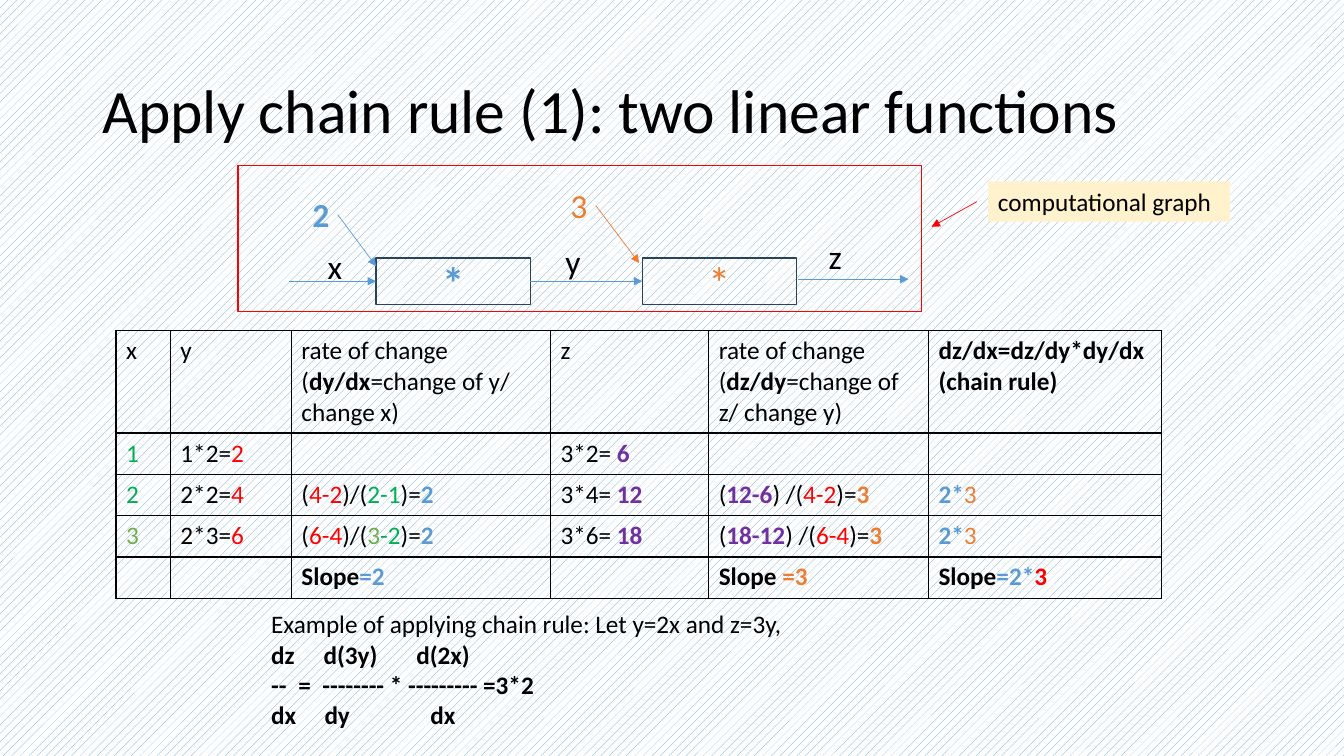
from lxml import etree
from pptx import Presentation
from pptx.dml.color import RGBColor
from pptx.enum.dml import MSO_PATTERN
from pptx.enum.shapes import MSO_CONNECTOR, MSO_SHAPE
from pptx.enum.text import MSO_ANCHOR, MSO_AUTO_SIZE, PP_ALIGN
from pptx.oxml.ns import qn
from pptx.util import Pt

RECTANGLE = MSO_SHAPE.RECTANGLE
STRAIGHT = MSO_CONNECTOR.STRAIGHT
HATCH = MSO_PATTERN.PERCENT_20
MIDDLE = MSO_ANCHOR.MIDDLE
CENTER = PP_ALIGN.CENTER
GROW = MSO_AUTO_SIZE.SHAPE_TO_FIT_TEXT
LEFT_SIDE, RIGHT_SIDE = 1, 3

EMU_PER_PX = 9144
FONT = "Calibri"
BLACK, WHITE, RED, GREEN = "000000", "FFFFFF", "FF0000", "00B050"
BLUE, ORANGE, PURPLE, LIME = "5B9BD5", "ED7D31", "7030A0", "70AD47"
NAVY, CREAM = "28445D", "FFF2CC"

COLUMNS = [54, 120, 257, 157, 218, 231]
ROWS = [98, 41, 41, 41, 41]


def px(length):
    return length * EMU_PER_PX


def rgb(color):
    return RGBColor.from_string(color)


def span(text, color=BLACK, bold=False):
    return text, color, bold


def style(font, color, bold):
    font.color.rgb = rgb(color)
    font.bold = bold


def write(frame, lines, size=18):
    for index, spans in enumerate(lines):
        para = frame.paragraphs[0] if index == 0 else frame.add_paragraph()
        para.font.name = FONT
        para.font.size = Pt(size)
        shared = len({part[1:] for part in spans}) == 1
        if shared:
            style(para.font, *spans[0][1:])
        for text, color, bold in spans:
            run = para.add_run()
            run.text = text
            if not shared:
                style(run.font, color, bold)


def add_text(page, place, lines, size=18, wrap=True):
    box = page.shapes.add_textbox(*map(px, place))
    box.text_frame.word_wrap = wrap
    box.text_frame.auto_size = GROW
    write(box.text_frame, lines, size)
    return box


def add_rectangle(page, place, line=None, fill=None):
    box = page.shapes.add_shape(RECTANGLE, *map(px, place))
    box.shadow.inherit = False
    if fill:
        box.fill.solid()
        box.fill.fore_color.rgb = rgb(fill)
    else:
        box.fill.background()
    if line:
        box.line.color.rgb = rgb(line)
        box.line.width = Pt(1)
    else:
        box.line.fill.background()
    return box


def add_operator(page, place, color, bold):
    box = add_rectangle(page, place, NAVY)
    box.text_frame.vertical_anchor = MIDDLE
    write(box.text_frame, [[span("*", color, bold)]], 32)
    box.text_frame.paragraphs[0].alignment = CENTER
    return box


def add_arrow(page, ends, color=BLUE, source=None, target=None):
    arrow = page.shapes.add_connector(STRAIGHT, *map(px, ends))
    if source:
        arrow.begin_connect(source, RIGHT_SIDE)
    if target:
        arrow.end_connect(target, LEFT_SIDE)
    arrow.line.color.rgb = rgb(color)
    arrow.line.width = Pt(0.5)
    properties = arrow.element.spPr
    etree.SubElement(properties.find(qn("a:ln")), qn("a:tailEnd"), type="triangle")
    etree.SubElement(properties, qn("a:effectLst"))


def add_borders(cell):
    properties = cell._tc.get_or_add_tcPr()
    for side in ("lnL", "lnR", "lnT", "lnB"):
        line = etree.SubElement(properties, qn("a:" + side), w=str(Pt(1)))
        fill = etree.SubElement(line, qn("a:solidFill"))
        etree.SubElement(fill, qn("a:srgbClr"), val=BLACK)


def set_tabs(para, stops):
    tabs = etree.Element(qn("a:tabLst"))
    for stop in stops:
        etree.SubElement(tabs, qn("a:tab"), pos=str(px(stop)), algn="l")
    para._p.get_or_add_pPr().insert(0, tabs)


def header_rate(ratio, change):
    return [[span("rate of change ("), span(ratio, bold=True), span(change)]]


def product(start, factor, result):
    return [[span(start), span(result, RED)]] if factor == "y" else [
        [span(start + " "), span(result, PURPLE, True)]]


def slope_y(rise, run_spans):
    return [[span("("), span(rise, RED), span(")/("), *run_spans,
             span(")="), span("2", BLUE, True)]]


def slope_z(rise, run):
    return [[span("("), span(rise, PURPLE, True), span(") /("), span(run, RED),
             span(")="), span("3", ORANGE, True)]]


def slope_total(*parts):
    return [[span("Slope", bold=True), *(span(text, color, True) for text, color in parts)]]


def table_content():
    chain = [[span("2*", BLUE, True), span("3", ORANGE)]]
    return [
        [[[span("x")]], [[span("y")]],
         header_rate("dy/dx", "=change of y/ change x)"), [[span("z")]],
         header_rate("dz/dy", "=change of z/ change y)"),
         [[span("dz/dx=dz/dy*dy/dx", bold=True)], [span("(chain rule)", bold=True)]]],
        [[[span("1", GREEN)]], product("1*2=", "y", "2"), [],
         product("3*2=", "z", "6"), [], []],
        [[[span("2", GREEN)]], product("2*2=", "y", "4"),
         slope_y("4-2", [span("2-1", GREEN)]),
         product("3*4=", "z", "12"), slope_z("12-6", "4-2"), chain],
        [[[span("3", LIME)]], product("2*3=", "y", "6"),
         slope_y("6-4", [span("3", LIME), span("-2", GREEN)]),
         product("3*6=", "z", "18"), slope_z("18-12", "6-4"), chain],
        [[], [], slope_total(("=2", BLUE)), [], slope_total((" =3", ORANGE)),
         slope_total(("=2*", BLUE), ("3", RED))],
    ]


def add_rate_table(page):
    place = (115, 328, sum(COLUMNS), sum(ROWS))
    table = page.shapes.add_table(len(ROWS), len(COLUMNS), *map(px, place)).table
    table.first_row = False
    table.horz_banding = False
    for column, width in zip(table.columns, COLUMNS):
        column.width = px(width)
    for row, height, contents in zip(table.rows, ROWS, table_content()):
        row.height = px(height)
        for cell, lines in zip(row.cells, contents):
            add_borders(cell)
            cell.fill.background()
            write(cell.text_frame, lines)


def add_graph(page):
    first = add_operator(page, (373, 256, 153, 46), BLUE, True)
    second = add_operator(page, (637, 256, 153, 46), ORANGE, False)
    add_arrow(page, (287, 279, 373, 279), target=first)
    add_arrow(page, (526, 279, 637, 279), source=first, target=second)
    add_arrow(page, (791, 277, 901, 277))
    for name, left, top in (("x", 315, 239), ("y", 551, 234), ("z", 812, 229)):
        add_text(page, (left, top, 35, 50), [[span(name)]], 24, wrap=False)
    add_text(page, (300, 187, 35, 50), [[span("2", BLUE, True)]], 24)
    add_text(page, (556, 179, 35, 50), [[span("3", ORANGE)]], 24)
    add_arrow(page, (335, 213, 373, 264))
    add_arrow(page, (591, 204, 634, 261), ORANGE)
    caption = add_rectangle(page, (980, 180, 240, 40), fill=CREAM)
    caption.text_frame.word_wrap = False
    caption.text_frame.auto_size = GROW
    write(caption.text_frame, [[span("computational graph")]])
    caption.text_frame.paragraphs[0].alignment = PP_ALIGN.LEFT
    add_arrow(page, (969, 200, 924, 225), RED)
    add_rectangle(page, (236, 164, 678, 145), RED)


def add_example(page):
    formula = [("dz\td(3y)\td(2x)", (52, 144)),
               ("--\t=\t-------- * --------- =3*2", (27, 51)),
               ("dx\tdy\tdx", (53, 158))]
    lines = [[span("Example of applying chain rule: Let y=2x and z=3y,")]]
    lines += [[span(text, bold=True)] for text, stops in formula]
    box = add_text(page, (259, 599, 629, 131), lines)
    for para, (text, stops) in zip(box.text_frame.paragraphs[1:], formula):
        set_tabs(para, stops)


def main():
    deck = Presentation()
    deck.slide_width, deck.slide_height = px(1333), px(750)
    page = deck.slides.add_slide(deck.slide_layouts[6])
    backdrop = page.background.fill
    backdrop.patterned()
    backdrop.pattern = HATCH
    backdrop.fore_color.rgb = rgb(BLUE)
    backdrop.back_color.rgb = rgb(WHITE)
    title = add_text(page, (92, 40, 1150, 145),
                     [[span("Apply chain rule (1): two linear functions")]], 44)
    title.text_frame.auto_size = MSO_AUTO_SIZE.NONE
    title.text_frame.vertical_anchor = MIDDLE
    title.text_frame.paragraphs[0].line_spacing = 0.9
    add_rate_table(page)
    add_graph(page)
    add_example(page)
    deck.save("out.pptx")


if __name__ == "__main__":
    main()
